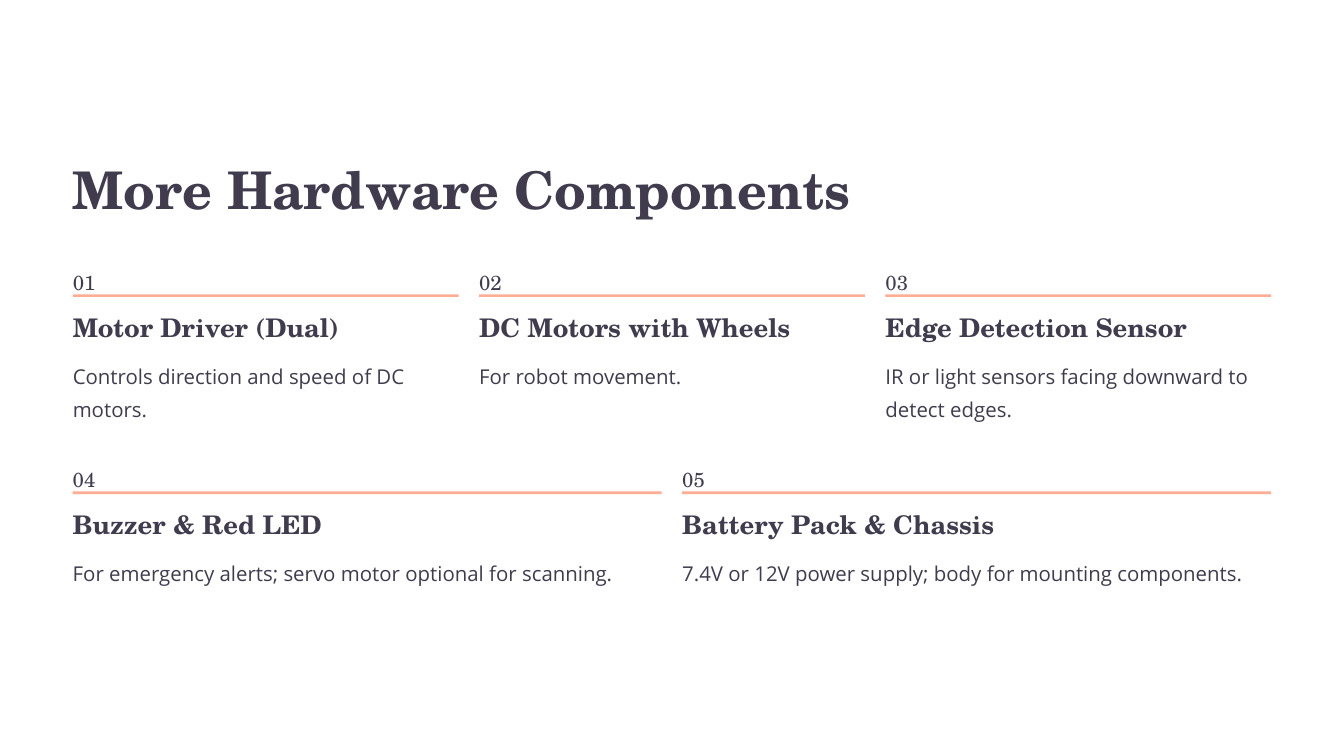
import pptx
import pptx.dml.color
import pptx.enum.shapes
import pptx.enum.text
import pptx.util
from pptx.util import Cm

INK = pptx.dml.color.RGBColor(0x40, 0x3C, 0x4E)
CORAL = pptx.dml.color.RGBColor(0xFF, 0xAD, 0x94)

SERIF = "TeX Gyre Schola"
SANS = "Open Sans"
TITLE = {"name": SERIF, "size": pptx.util.Pt(44.5), "bold": True}
NUMBER = {"name": SERIF, "size": pptx.util.Pt(17.5), "bold": False}
HEADING = {"name": SERIF, "size": pptx.util.Pt(22), "bold": True}
BODY = {"name": SANS, "size": pptx.util.Pt(17.5), "bold": False}

LEFT = 2.2
CONTENT_WIDTH = 36.24
GAP = 0.62
FIRST_ROW_TOP = 7.9
ROW_PITCH = 5.96

ROWS = [
    [
        ("Motor Driver (Dual)", "Controls direction and speed of DC motors."),
        ("DC Motors with Wheels", "For robot movement."),
        ("Edge Detection Sensor", "IR or light sensors facing downward to detect edges."),
    ],
    [
        ("Buzzer & Red LED", "For emergency alerts; servo motor optional for scanning."),
        ("Battery Pack & Chassis", "7.4V or 12V power supply; body for mounting components."),
    ],
]


def write_text(box, text, line_height, font_format):
    frame = box.text_frame
    frame_format = {
        "margin_left": 0, "margin_right": 0, "margin_top": 0, "margin_bottom": 0,
        "word_wrap": True,
        "auto_size": pptx.enum.text.MSO_AUTO_SIZE.NONE,
        "vertical_anchor": pptx.enum.text.MSO_ANCHOR.TOP,
    }
    for name, value in frame_format.items():
        setattr(frame, name, value)
    para = frame.paragraphs[0]
    para.alignment = pptx.enum.text.PP_ALIGN.LEFT
    para.space_before = pptx.util.Pt(0)
    para.line_spacing = pptx.util.Pt(line_height)
    span = para.add_run()
    span.text = text
    for name, value in font_format.items():
        setattr(span.font, name, value)
    span.font.color.rgb = INK


deck = pptx.Presentation()
deck.slide_width = Cm(40.64)
deck.slide_height = Cm(22.86)
page = deck.slides.add_slide(deck.slide_layouts.get_by_name("Title Only"))

title = page.shapes.title
title.left, title.top = Cm(LEFT), Cm(4.69)
title.width, title.height = Cm(CONTENT_WIDTH), Cm(1.98)
write_text(title, "More Hardware Components", 55.5, TITLE)

number = 0
for row_index, row in enumerate(ROWS):
    top = FIRST_ROW_TOP + row_index * ROW_PITCH
    width = (CONTENT_WIDTH - GAP * (len(row) - 1)) / len(row)
    for column, (heading, body) in enumerate(row):
        number += 1
        left = LEFT + column * (width + GAP)

        rule = page.shapes.add_shape(
            pptx.enum.shapes.MSO_SHAPE.RECTANGLE,
            Cm(left), Cm(top + 1), Cm(width), Cm(0.08))
        rule.shadow.inherit = False
        rule.fill.solid()
        rule.fill.fore_color.rgb = CORAL
        rule.line.fill.background()

        for text, offset, height, line_height, font_format in [
            (f"{number:02}", 0, 0.79, 28.5, NUMBER),
            (heading, 1.49, 0.99, 27.5, HEADING),
            (body, 2.84, 2.01, 28.5, BODY),
        ]:
            box = page.shapes.add_textbox(
                Cm(left), Cm(top + offset), Cm(width), Cm(height))
            write_text(box, text, line_height, font_format)

deck.save("out.pptx")
